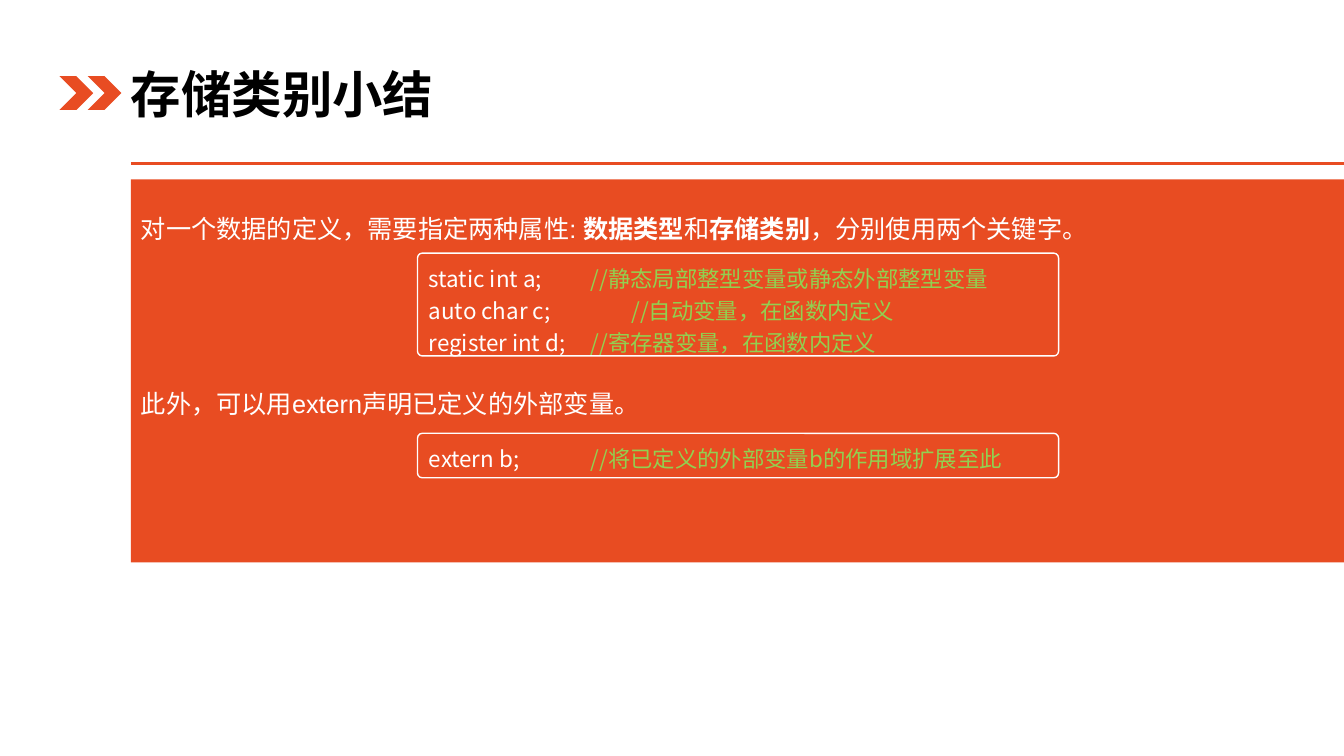
from pptx import Presentation
from pptx.dml.color import RGBColor
from pptx.enum.shapes import MSO_CONNECTOR, MSO_SHAPE
from pptx.enum.text import MSO_ANCHOR, PP_ALIGN
from pptx.oxml.ns import qn
from pptx.util import Cm, Pt
from lxml.etree import SubElement

COLOURS = {"accent": "E84C22", "light": "FFFFFF", "dark": "000000", "comment": "92D050"}
HEADING_FONT = "Noto Sans CJK SC"
BODY_FONT = "Arial"
LEFT, WIDTH, RIGHT = 3.3, 30.56, 33.86
CODE_LEFT, CODE_WIDTH, TAB = 10.52, 16.15, 1.02


class SlideBuilder:
    """Draws styled elements on the current slide."""

    def __init__(self, page):
        self.page = page

    def colour(self, name):
        return RGBColor.from_string(COLOURS[name])

    def shape(self, kind, left, top, width, height, fill=None, line=None):
        shape = self.page.shapes.add_shape(kind, Cm(left), Cm(top), Cm(width), Cm(height))
        shape.shadow.inherit = False
        if fill:
            shape.fill.solid()
            shape.fill.fore_color.rgb = self.colour(fill)
        else:
            shape.fill.background()
        if line:
            shape.line.color.rgb = self.colour(line)
            shape.line.width = Pt(1)
        else:
            shape.line.fill.background()
        return shape

    def rule(self, left, right, top):
        rule = self.page.shapes.add_connector(
            MSO_CONNECTOR.STRAIGHT, Cm(left), Cm(top), Cm(right), Cm(top))
        rule.line.color.rgb = self.colour("accent")
        rule.line.width = Pt(2.25)
        SubElement(rule._element.spPr, qn("a:effectLst"))

    def add_spans(self, paragraph, spans, size, font):
        paragraph.alignment = PP_ALIGN.LEFT
        for text, colour, bold in spans:
            span = paragraph.add_run()
            span.text = text
            span.font.size = Pt(size)
            span.font.name = font
            span.font.bold = bold
            span.font.color.rgb = self.colour(colour)
            east_asian = SubElement(span._r.get_or_add_rPr(), qn("a:ea"))
            east_asian.set("typeface", HEADING_FONT)

    def title(self, text, left, top, width, height):
        box = self.page.shapes.add_textbox(Cm(left), Cm(top), Cm(width), Cm(height))
        frame = box.text_frame
        frame.word_wrap = True
        frame.vertical_anchor = MSO_ANCHOR.MIDDLE
        self.add_spans(frame.paragraphs[0], [(text, "dark", True)], 36, HEADING_FONT)

    def panel(self, paragraphs, top, height, gap):
        frame = self.shape(MSO_SHAPE.RECTANGLE, LEFT, top, WIDTH, height, "accent").text_frame
        frame.vertical_anchor = MSO_ANCHOR.TOP
        frame.margin_top = Cm(0.86)
        for index, spans in enumerate(paragraphs):
            paragraph = frame.add_paragraph() if index else frame.paragraphs[0]
            if index:
                paragraph.space_before = Pt(gap)
            styled = [(text, "light", bold) for text, bold in spans]
            self.add_spans(paragraph, styled, 18, BODY_FONT)

    def code(self, lines, top, height):
        box = self.shape(MSO_SHAPE.ROUNDED_RECTANGLE, CODE_LEFT, top, CODE_WIDTH, height,
                         line="light")
        box.adjustments[0] = 0.12 / height
        frame = box.text_frame
        frame.word_wrap = True
        frame.vertical_anchor = MSO_ANCHOR.TOP
        for index, (statement, comment) in enumerate(lines):
            paragraph = frame.add_paragraph() if index else frame.paragraphs[0]
            paragraph.line_spacing = 1.2
            stops = SubElement(paragraph._p.get_or_add_pPr(), qn("a:tabLst"))
            for step in (3, 4, 5):
                SubElement(stops, qn("a:tab"), pos=str(int(Cm(step * TAB))), algn="l")
            spans = [(statement, "light", False), (comment, "comment", False)]
            self.add_spans(paragraph, spans, 16, HEADING_FONT)


def main():
    deck = Presentation()
    deck.slide_width, deck.slide_height = Cm(RIGHT), Cm(19.05)
    builder = SlideBuilder(deck.slides.add_slide(deck.slide_layouts[6]))
    builder.rule(LEFT, RIGHT, 4.11)
    builder.panel([
        [("对一个数据的定义，需要指定两种属性: ", False), ("数据类型", True), ("和", False),
         ("存储类别", True), ("，分别使用两个关键字。", False)],
        [("此外，可以用extern声明已定义的外部变量。", False)],
    ], 4.52, 9.65, 103.5)
    builder.title("存储类别小结", 3.05, 1.35, 15.09, 2)
    for column in range(2):
        builder.shape(MSO_SHAPE.CHEVRON, 1.5 + column * 0.71, 1.92, 0.85, 0.85, "accent")
    builder.code([
        ("static int a;\t\t", "//静态局部整型变量或静态外部整型变量"),
        ("auto char c;\t\t", "//自动变量，在函数内定义"),
        ("register int d;\t", "//寄存器变量，在函数内定义"),
    ], 6.38, 2.59)
    builder.code([("extern b;\t\t", "//将已定义的外部变量b的作用域扩展至此")], 10.92, 1.12)
    deck.save("out.pptx")


if __name__ == "__main__":
    main()
